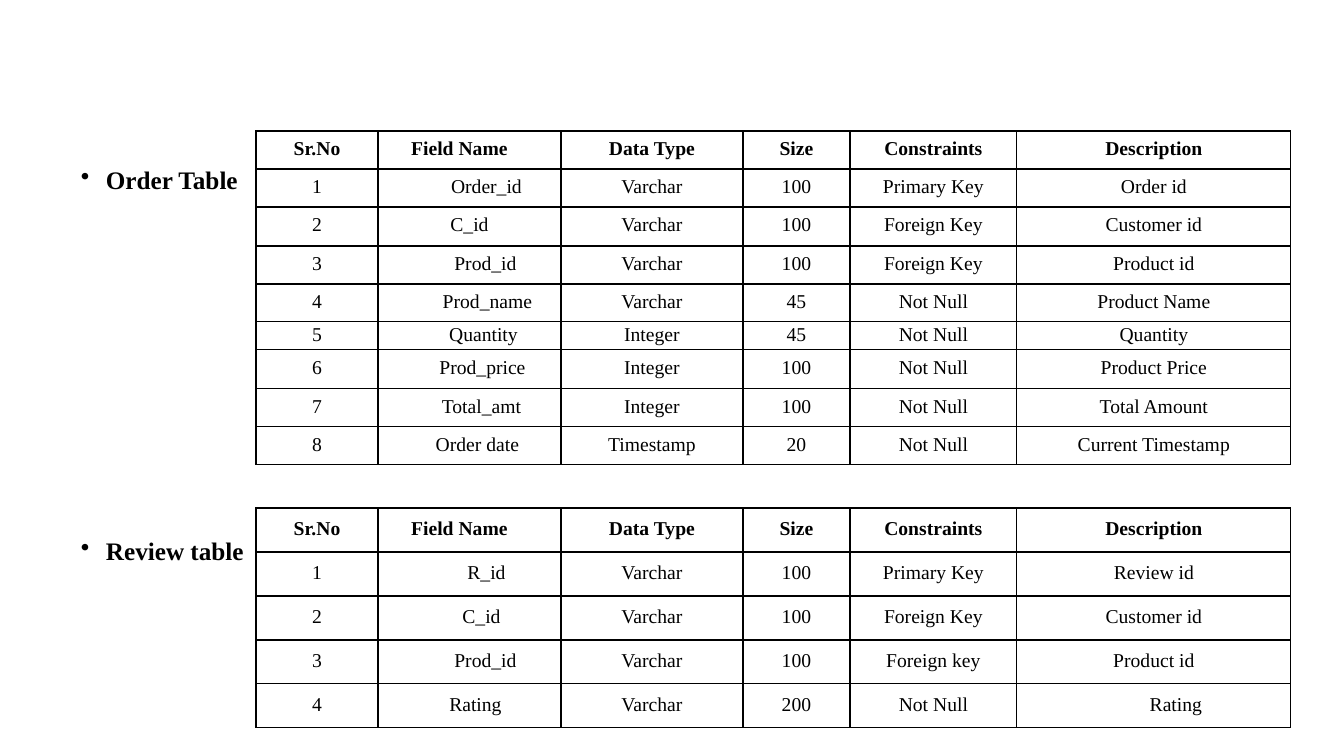
import pptx
import pptx.util
import pptx.dml.color
import pptx.enum.text
import pptx.oxml

PX = 9071  # EMU in one px, at 100.8 px to the inch
FONT = "Times New Roman"
BLACK = pptx.dml.color.RGBColor(0, 0, 0)

# Content: each row ends with the px its field and description move right
HEAD = ("Sr.No", "Field Name", "Data Type", "Size", "Constraints",
        "Description", -10, 0)
ORDER = [
    HEAD,
    ("1", "Order_id", "Varchar", "100", "Primary Key", "Order id", 17, 0),
    ("2", "C_id", "Varchar", "100", "Foreign Key", "Customer id", 0, 0),
    ("3", "Prod_id", "Varchar", "100", "Foreign Key", "Product id", 16, 0),
    ("4", "Prod_name", "Varchar", "45", "Not Null", "Product Name", 18, 0),
    ("5", "Quantity", "Integer", "45", "Not Null", "Quantity", 14, 0),
    ("6", "Prod_price", "Integer", "100", "Not Null", "Product Price", 13, 0),
    ("7", "Total_amt", "Integer", "100", "Not Null", "Total Amount", 12, 0),
    ("8", "Order date", "Timestamp", "20", "Not Null",
     "Current Timestamp", 8, 0),
]
REVIEW = [
    HEAD,
    ("1", "R_id", "Varchar", "100", "Primary Key", "Review id", 17, 0),
    ("2", "C_id", "Varchar", "100", "Foreign Key", "Customer id", 12, 0),
    ("3", "Prod_id", "Varchar", "100", "Foreign key", "Product id", 16, 0),
    ("4", "Rating", "Varchar", "200", "Not Null", "Rating", 6, 22),
]
# Label, label top, table top, row heights, rows
PARTS = [
    ("Order Table", 163, 131, [38, 38, 39, 38, 38, 28, 39, 38, 38], ORDER),
    ("Review table", 534, 508, [44] * 5, REVIEW),
]
LEFT = 256
COLS = [122, 183, 182, 107, 167, 274]
EDGE = ('<a:{} xmlns:a="http://schemas.openxmlformats.org/drawingml/2006/main"'
        ' w="12700"><a:solidFill><a:srgbClr val="000000"/></a:solidFill></a:{}>')
BULLET = ('<a:buChar xmlns:a="http://schemas.openxmlformats.org/'
          'drawingml/2006/main" char="•"/>')


def style(para, size, bold):
    for run in para.runs:
        run.font.name = FONT
        run.font.size = pptx.util.Pt(size)
        run.font.bold = bold
        run.font.color.rgb = BLACK


def label(slide, text, top):
    box = slide.shapes.add_textbox(71 * PX, top * PX, 185 * PX, 40 * PX)
    frame = box.text_frame
    frame.text = text
    frame.word_wrap = True
    para = frame.paragraphs[0]
    para.line_spacing = 0.9
    props = para._p.get_or_add_pPr()
    props.set("marL", str(25 * PX))
    props.set("indent", str(-25 * PX))
    props.append(pptx.oxml.parse_xml(BULLET))
    style(para, 18, True)


def fill_cell(cell, text, shift, bold):
    cell.margin_left = cell.margin_right = 0
    cell.margin_top = cell.margin_bottom = 0
    cell.vertical_anchor = pptx.enum.text.MSO_ANCHOR.MIDDLE
    cell.fill.background()
    props = cell._tc.get_or_add_tcPr()
    for i, side in enumerate(("lnL", "lnR", "lnT", "lnB")):
        props.insert(i, pptx.oxml.parse_xml(EDGE.format(side, side)))
    cell.text_frame.text = text
    para = cell.text_frame.paragraphs[0]
    para.alignment = pptx.enum.text.PP_ALIGN.CENTER
    para.line_spacing = pptx.util.Pt(13.5)
    # A margin on one side moves centred text by half its width
    if shift:
        side = "marL" if shift > 0 else "marR"
        para._p.get_or_add_pPr().set(side, str(2 * abs(shift) * PX))
    style(para, 14, bold)


def grid(slide, top, highs, rows):
    table = slide.shapes.add_table(
        len(rows), len(COLS), LEFT * PX, top * PX,
        sum(COLS) * PX, sum(highs) * PX).table
    table.first_row = table.horz_banding = False
    for col, wide in zip(table.columns, COLS):
        col.width = wide * PX
    for r, (high, row) in enumerate(zip(highs, rows)):
        table.rows[r].height = high * PX
        *texts, field, desc = row
        shifts = (0, field, 0, 0, 0, desc)
        for c, (text, shift) in enumerate(zip(texts, shifts)):
            fill_cell(table.cell(r, c), text, shift, r == 0)


def main():
    deck = pptx.Presentation()
    deck.slide_width, deck.slide_height = 1344 * PX, 756 * PX
    slide = deck.slides.add_slide(deck.slide_layouts[6])
    for name, high, top, highs, rows in PARTS:
        label(slide, name, high)
        grid(slide, top, highs, rows)
    deck.save("out.pptx")


if __name__ == "__main__":
    main()
